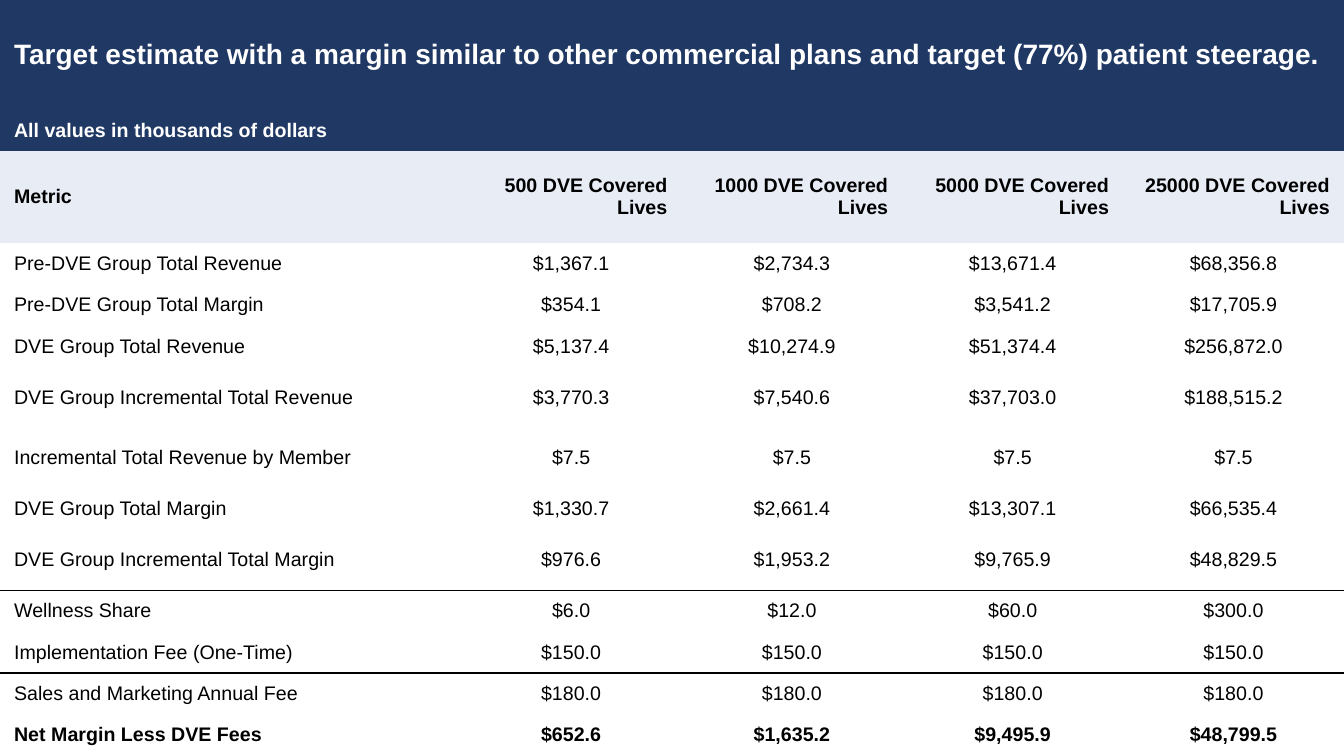
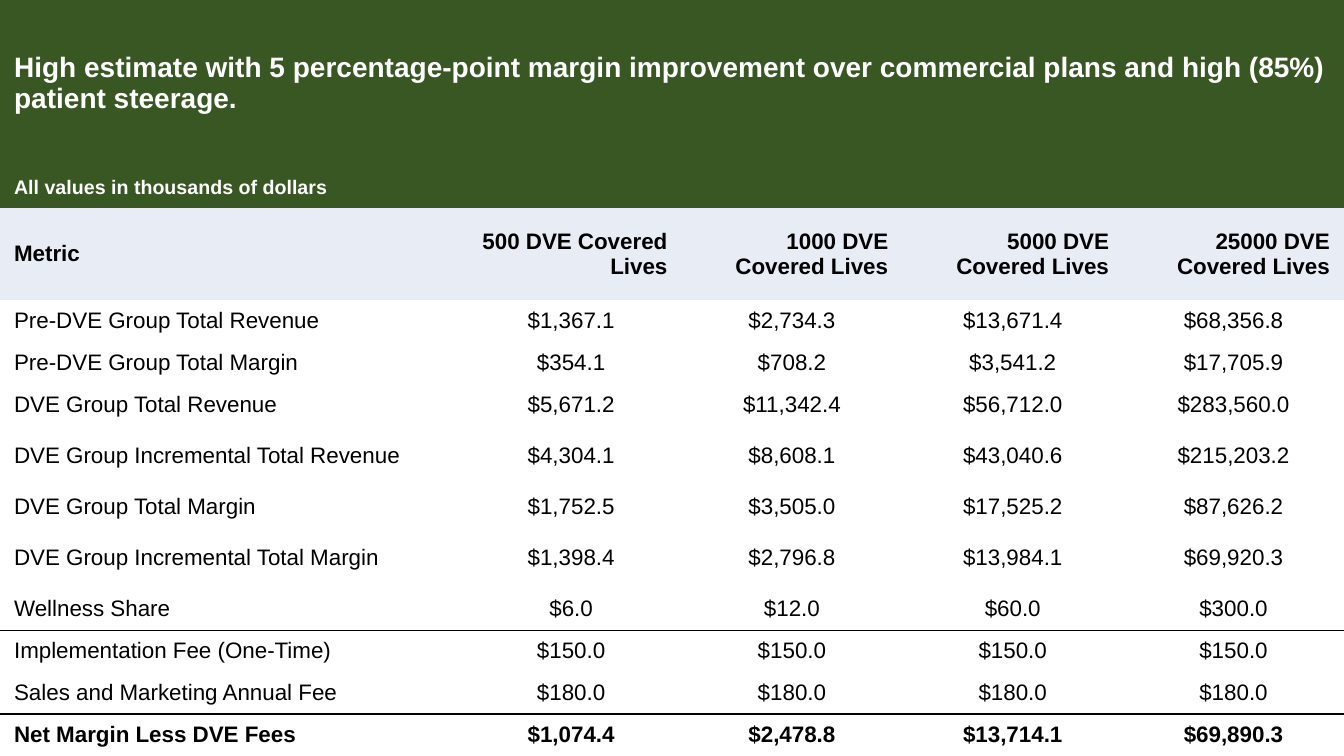
from lxml import etree
from pptx import Presentation
from pptx.dml.color import RGBColor
from pptx.enum.text import MSO_ANCHOR as Anchor, PP_ALIGN as Align
from pptx.oxml.ns import qn
from pptx.util import Inches, Pt

WIDTH, HEIGHT = 13.33, 7.5
METRIC_WIDTH, VALUE_WIDTH = 4.57, 2.19
HEADER_HEIGHT, TALL_HEIGHT = 0.91, 0.6
NAVY, GREEN, PALE, WHITE, BLACK = "203864", "385723", "E7ECF5", "FFFFFF", "000000"
NO_STYLE_NO_GRID = "{2D5ABB26-0587-4C30-8999-92F81FD0307C}"

UNITS = "All values in thousands of dollars"
HEADER = ("Metric", "500 DVE Covered Lives", "1000 DVE Covered Lives",
          "5000 DVE Covered Lives", "25000 DVE Covered Lives")
BEFORE_ROWS = [
    ("Pre-DVE Group Total Revenue", "$1,367.1", "$2,734.3", "$13,671.4", "$68,356.8"),
    ("Pre-DVE Group Total Margin", "$354.1", "$708.2", "$3,541.2", "$17,705.9"),
]
FEE_ROWS = [
    ("Wellness Share", "$6.0", "$12.0", "$60.0", "$300.0"),
    ("Implementation Fee (One-Time)",) + ("$150.0",) * 4,
    ("Sales and Marketing Annual Fee",) + ("$180.0",) * 4,
]
TARGET_ROWS = [
    ("DVE Group Total Revenue", "$5,137.4", "$10,274.9", "$51,374.4", "$256,872.0"),
    ("DVE Group Incremental Total Revenue", "$3,770.3", "$7,540.6", "$37,703.0", "$188,515.2"),
    ("Incremental Total Revenue by Member",) + ("$7.5",) * 4,
    ("DVE Group Total Margin", "$1,330.7", "$2,661.4", "$13,307.1", "$66,535.4"),
    ("DVE Group Incremental Total Margin", "$976.6", "$1,953.2", "$9,765.9", "$48,829.5"),
]
HIGH_ROWS = [
    ("DVE Group Total Revenue", "$5,671.2", "$11,342.4", "$56,712.0", "$283,560.0"),
    ("DVE Group Incremental Total Revenue", "$4,304.1", "$8,608.1", "$43,040.6", "$215,203.2"),
    ("DVE Group Total Margin", "$1,752.5", "$3,505.0", "$17,525.2", "$87,626.2"),
    ("DVE Group Incremental Total Margin", "$1,398.4", "$2,796.8", "$13,984.1", "$69,920.3"),
]
TARGET_NET = ("Net Margin Less DVE Fees", "$652.6", "$1,635.2", "$9,495.9", "$48,799.5")
HIGH_NET = ("Net Margin Less DVE Fees", "$1,074.4", "$2,478.8", "$13,714.1", "$69,890.3")


def rgb(value):
    return RGBColor.from_string(value)


def write(cell, text, size=14, bold=False, color=BLACK, align=Align.LEFT, fill=None):
    cell.margin_left = cell.margin_right = Inches(0.14)
    cell.margin_top = cell.margin_bottom = 0
    cell.vertical_anchor = Anchor.MIDDLE
    if fill:
        cell.fill.solid()
        cell.fill.fore_color.rgb = rgb(fill)
    else:
        cell.fill.background()
    para = cell.text_frame.paragraphs[0]
    para.alignment = align
    span = para.add_run()
    span.text = text
    font = span.font
    font.name, font.size, font.bold = "Arial", Pt(size), bold
    font.color.rgb = rgb(color)


def set_borders(cell, top, bottom):
    """Draw a thin black line on each side that is true and none on the other."""
    properties = cell._tc.get_or_add_tcPr()
    for position, (side, ruled) in enumerate((("lnT", top), ("lnB", bottom))):
        line = etree.Element(qn(f"a:{side}"), w=str(Pt(1)))
        if ruled:
            fill = etree.SubElement(line, qn("a:solidFill"))
            etree.SubElement(fill, qn("a:srgbClr"), val=BLACK)
        else:
            etree.SubElement(line, qn("a:noFill"))
        properties.insert(position, line)


class EstimateDeck:
    def __init__(self):
        self.deck = Presentation()
        self.deck.slide_width, self.deck.slide_height = Inches(WIDTH), Inches(HEIGHT)
        self.page = None

    def add_page(self):
        self.page = self.deck.slides.add_slide(self.deck.slide_layouts[6])

    def add_grid(self, row_count):
        frame = self.page.shapes.add_table(row_count, len(HEADER), 0, 0,
                                           Inches(WIDTH), Inches(HEIGHT))
        table = frame.table
        table.horz_banding = False
        table._tbl.tblPr.find(qn("a:tableStyleId")).text = NO_STYLE_NO_GRID
        for index, column in enumerate(table.columns):
            column.width = Inches(VALUE_WIDTH if index else METRIC_WIDTH)
        return table

    def set_heights(self, table, title_height, labels):
        """Give incremental rows more height and share what is left equally."""
        fixed = {0: title_height, 2: HEADER_HEIGHT}
        fixed.update({index: TALL_HEIGHT for index, label in enumerate(labels, 3)
                      if "Incremental" in label})
        plain = (HEIGHT - sum(fixed.values())) / (len(table.rows) - len(fixed))
        for index, row in enumerate(table.rows):
            row.height = Inches(fixed.get(index, plain))

    def add_band(self, table, index, text, size, fill):
        cell = table.cell(index, 0)
        cell.merge(table.cell(index, len(HEADER) - 1))
        write(cell, text, size=size, bold=True, color=WHITE, fill=fill)

    def add_row(self, table, index, texts, value_align=Align.CENTER, **style):
        for column, text in enumerate(texts):
            align = value_align if column else Align.LEFT
            write(table.cell(index, column), text, align=align, **style)

    def add_rules(self, table, ruled_rows):
        """Draw a line below each row whose index is in ruled_rows."""
        for index, row in enumerate(table.rows):
            for cell in row.cells:
                set_borders(cell, index - 1 in ruled_rows, index in ruled_rows)

    def add_estimate(self, title, title_height, color, size, rows, net_row, ruled):
        """Add a slide whose table has a line below each metric in ruled."""
        self.add_page()
        body = BEFORE_ROWS + rows + FEE_ROWS + [net_row]
        labels = [row[0] for row in body]
        table = self.add_grid(len(body) + 3)
        self.set_heights(table, title_height, labels)
        self.add_band(table, 0, title, 20, color)
        self.add_band(table, 1, UNITS, 14, color)
        self.add_row(table, 2, HEADER, Align.RIGHT, size=size, bold=True, fill=PALE)
        for index, row in enumerate(body, 3):
            self.add_row(table, index, row, size=size, bold=row is net_row)
        self.add_rules(table, [labels.index(label) + 3 for label in ruled])


def main():
    estimates = EstimateDeck()
    estimates.add_estimate(
        "Target estimate with a margin similar to other commercial plans "
        "and target (77%) patient steerage.",
        1.09, NAVY, 14, TARGET_ROWS, TARGET_NET,
        ("DVE Group Incremental Total Margin", "Implementation Fee (One-Time)"))
    estimates.add_estimate(
        "High estimate with 5 percentage-point margin improvement "
        "over commercial plans and high (85%) patient steerage.",
        1.65, GREEN, 16, HIGH_ROWS, HIGH_NET,
        ("Wellness Share", "Sales and Marketing Annual Fee"))
    estimates.deck.save("out.pptx")


if __name__ == "__main__":
    main()
